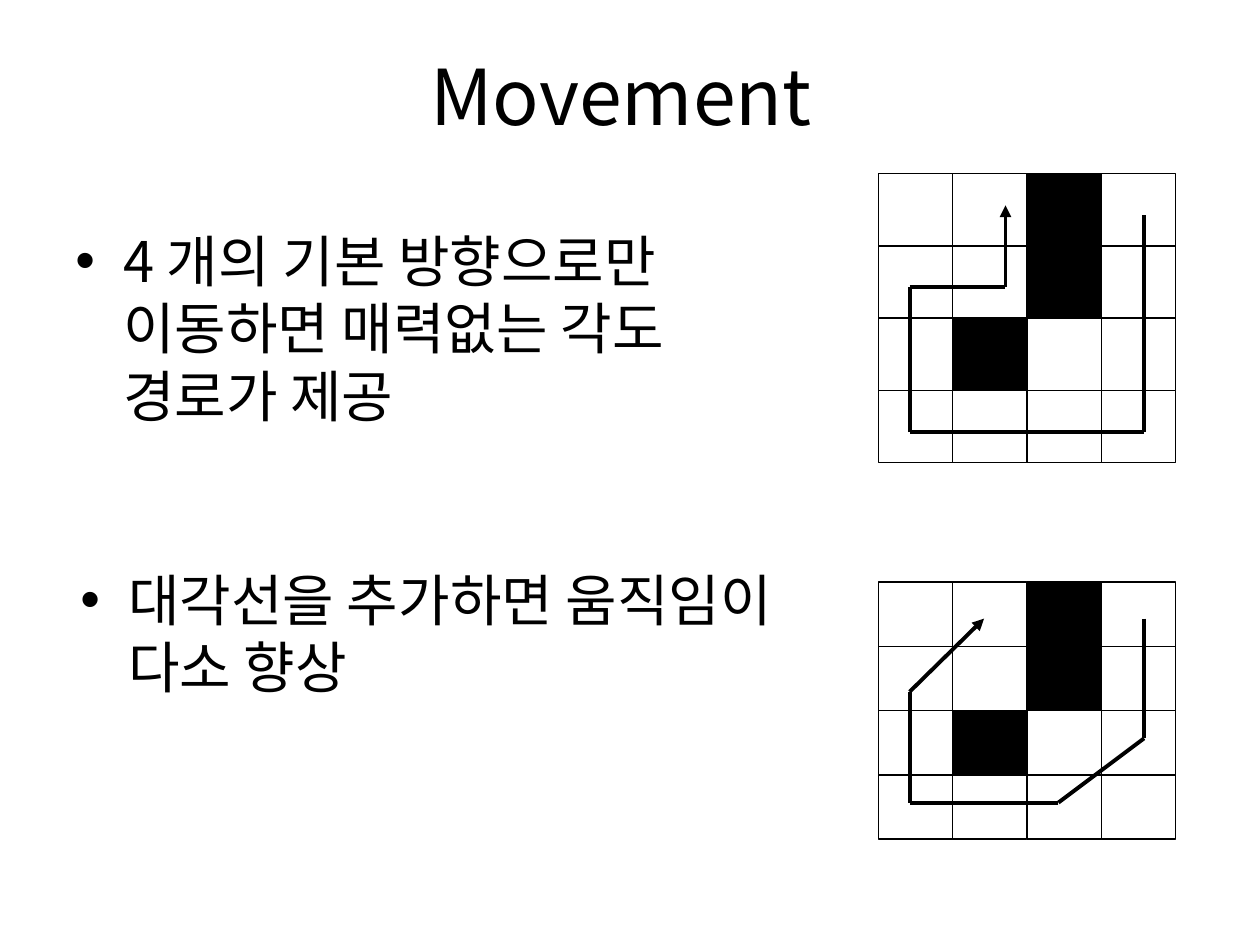
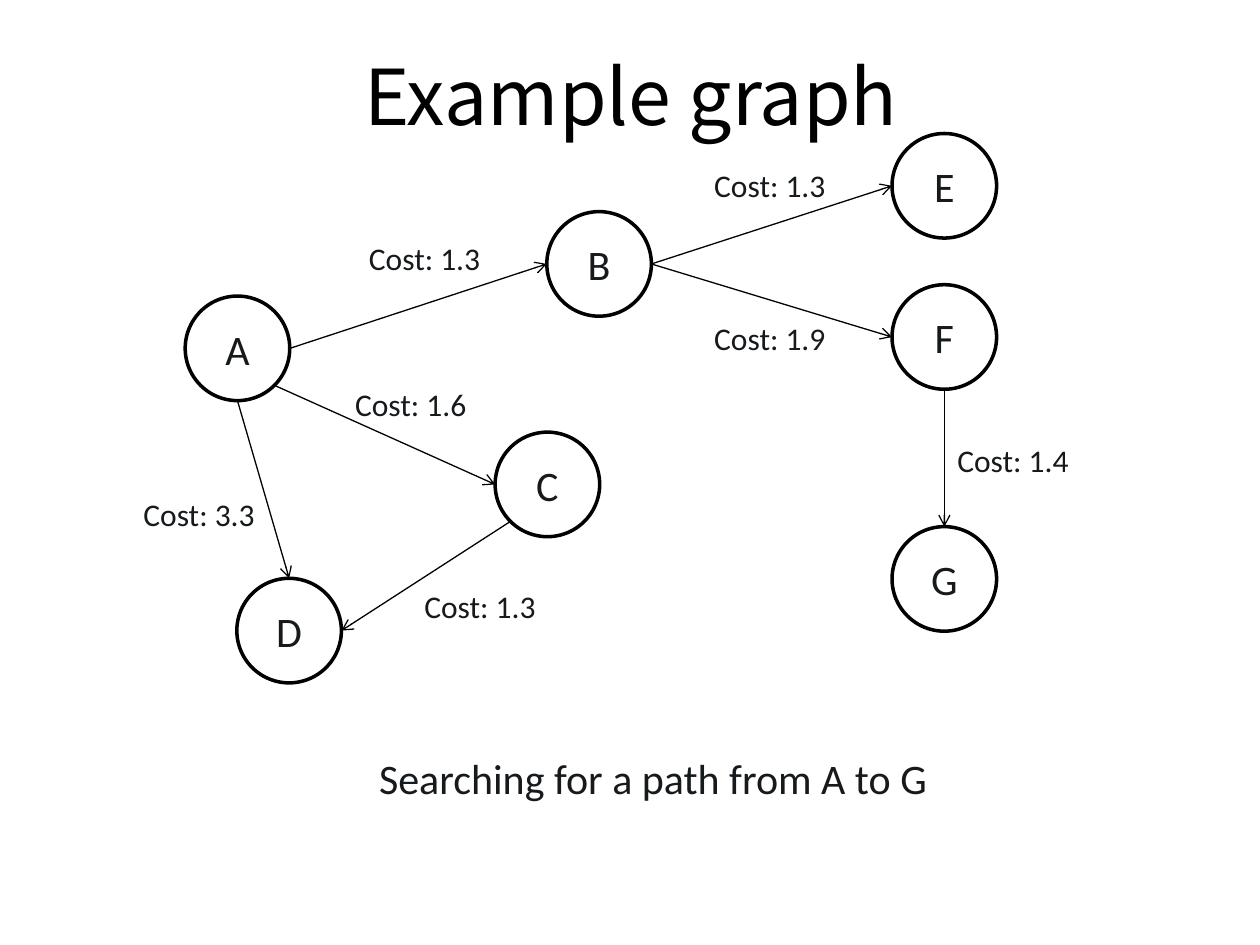
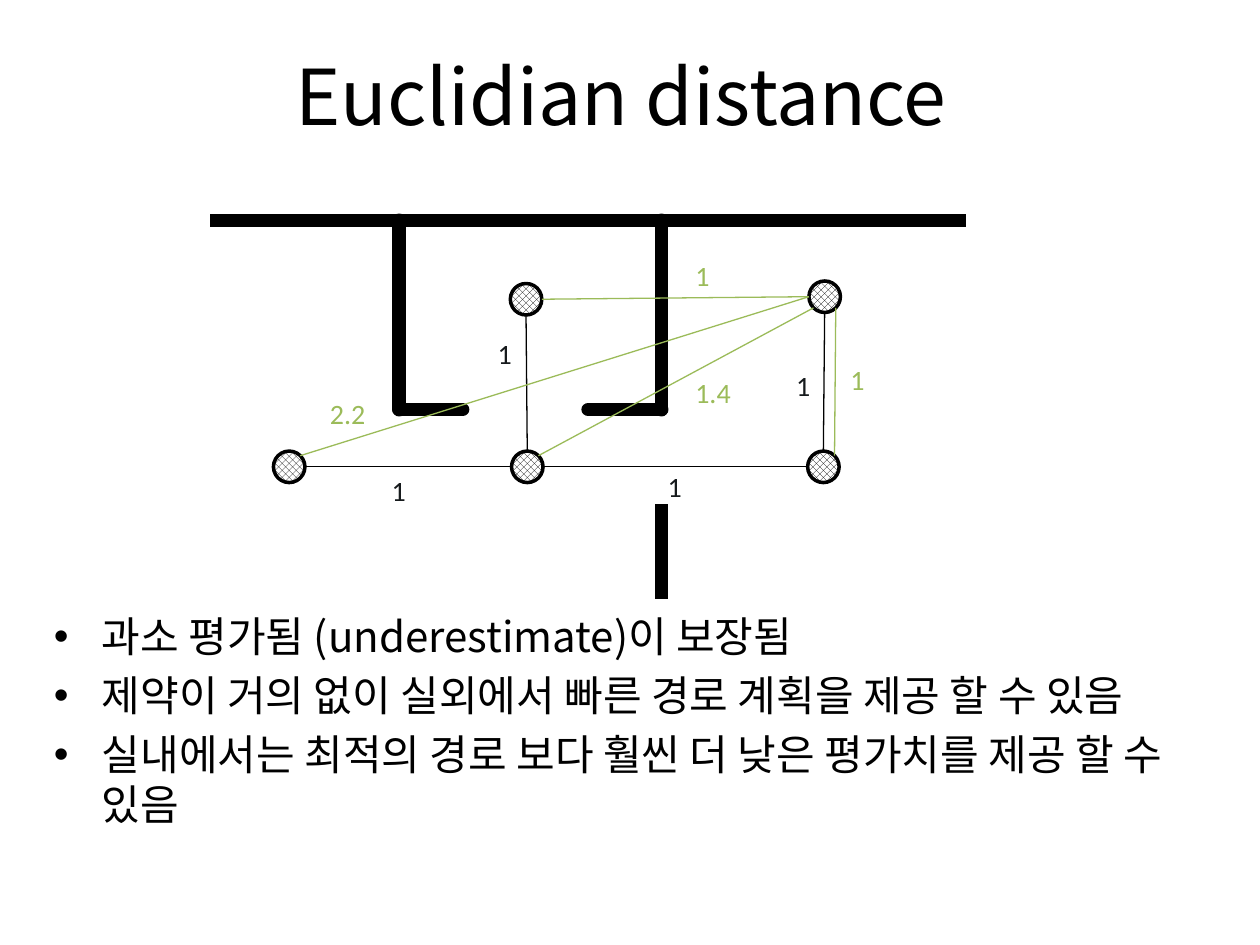
import pptx
import pptx.dml.color
import pptx.enum.dml
import pptx.enum.shapes
import pptx.enum.text
import pptx.oxml.ns
import pptx.util
from pptx.util import Inches
from lxml import etree

BLACK, WHITE, INK, GREEN = "000000", "FFFFFF", "161A1C", "9BBB59"
SANS, KOREAN = "Calibri", "Noto Sans CJK KR"
SHAPE = pptx.enum.shapes.MSO_SHAPE
ALIGN = pptx.enum.text.PP_ALIGN
MIDDLE = pptx.enum.text.MSO_ANCHOR.MIDDLE
RING = 0.83
DOT = 0.25
DIAG = 0.5 ** 0.5
SIDES = {"top": (0, -1), "left": (-1, 0), "low": (0, 1), "right": (1, 0),
         "low left": (-DIAG, DIAG), "low right": (DIAG, DIAG),
         "top right": (DIAG, -DIAG)}


def color(code):
    """Turn a hex string into a colour."""
    return pptx.dml.color.RGBColor.from_string(code)


def apply(target, values):
    """Set each named value on the target."""
    for name, value in values.items():
        setattr(target, name, value)


def add_tag(parent, tag, **values):
    """Append one drawing element with its attributes."""
    item = etree.SubElement(parent, pptx.oxml.ns.qn(tag))
    for name, value in values.items():
        item.set(name, str(value))
    return item


def write(par, text, size, face, code):
    """Add a run with its font to a paragraph."""
    run = par.add_run()
    run.text = text
    apply(run.font, {"size": pptx.util.Pt(size), "name": face})
    run.font.color.rgb = color(code)
    add_tag(run.font._element, "a:ea", typeface=face)


def add_title(deck, text, left=0.43):
    """Add a title-only slide and place its title."""
    slide = deck.slides.add_slide(deck.slide_layouts[5])
    title = slide.shapes.title
    apply(title, {"left": Inches(left), "top": Inches(0.13),
                  "width": Inches(9), "height": Inches(1.25)})
    title.text_frame.vertical_anchor = MIDDLE
    par = title.text_frame.paragraphs[0]
    par.alignment = ALIGN.CENTER
    write(par, text, 44, KOREAN, BLACK)
    return slide


def add_list(slide, box, size, lines):
    """Add a wrapped list with bullets."""
    frame = slide.shapes.add_textbox(*map(Inches, box)).text_frame
    frame.word_wrap = True
    for num, text in enumerate(lines):
        par = frame.add_paragraph() if num else frame.paragraphs[0]
        props = par._p.get_or_add_pPr()
        props.set("marL", str(Inches(0.38)))
        props.set("indent", str(-Inches(0.38)))
        add_tag(add_tag(props, "a:spcBef"), "a:spcPct", val=20000)
        add_tag(props, "a:buFont", typeface="Arial")
        add_tag(props, "a:buChar", char="•")
        write(par, text, size, KOREAN, BLACK)


def add_label(slide, box, text, size, code=INK):
    """Add a single line of text."""
    frame = slide.shapes.add_textbox(*map(Inches, box)).text_frame
    frame.word_wrap = False
    write(frame.paragraphs[0], text, size, SANS, code)


def add_form(shapes, kind, box, width, fill=None):
    """Add a preset shape with a black outline."""
    form = shapes.add_shape(kind, *map(Inches, box))
    form.shadow.inherit = False
    form.line.color.rgb = color(BLACK)
    form.line.width = pptx.util.Pt(width)
    if fill:
        form.fill.solid()
        form.fill.fore_color.rgb = color(fill)
    else:
        form.fill.background()
    return form


def add_line(shapes, start, end, width=0.75, code=BLACK, head=None, cap=None):
    """Add a straight line, with an arrowhead or cap if named."""
    kind = pptx.enum.shapes.MSO_CONNECTOR.STRAIGHT
    line = shapes.add_connector(kind, *map(Inches, (*start, *end)))
    line.line.color.rgb = color(code)
    line.line.width = pptx.util.Pt(width)
    props = line.line._get_or_add_ln()
    if cap:
        props.set("cap", cap)
    if head:
        add_tag(props, "a:tailEnd", type=head)
    add_tag(line._element.spPr, "a:effectLst")


def add_grid(slide, top, height, route, fill=None):
    """Add a four by four grid with walls and a route."""
    shapes = slide.shapes.add_group_shape().shapes
    wide, high = 0.59, height / 4
    walls = {(0, 2), (1, 2), (2, 1)}
    for row in range(4):
        for col in range(4):
            box = (6.97 + col * wide, top + row * high, wide, high)
            shade = BLACK if (row, col) in walls else fill
            add_form(shapes, SHAPE.RECTANGLE, box, 0.75, shade)
    for start, end in zip(route, route[1:]):
        head = "triangle" if end == route[-1] else None
        add_line(shapes, start, end, 2.25, head=head)


def edge(spot, size, side):
    """Find the point on a circle at the named side."""
    return [place + size / 2 * (1 + step)
            for place, step in zip(spot, SIDES[side])]


def add_ring(slide, spot, text):
    """Add a graph node with its letter."""
    ring = add_form(slide.shapes, SHAPE.OVAL, (*spot, RING, RING), 2)
    frame = ring.text_frame
    apply(frame, {"word_wrap": False, "vertical_anchor": MIDDLE})
    frame.paragraphs[0].alignment = ALIGN.CENTER
    write(frame.paragraphs[0], text, 24, SANS, INK)


def add_dot(slide, spot):
    """Add a small node with a diamond pattern."""
    dot = add_form(slide.shapes, SHAPE.OVAL, (*spot, DOT, DOT), 2)
    dot.fill.patterned()
    dot.fill.pattern = pptx.enum.dml.MSO_PATTERN.SOLID_DIAMOND
    dot.fill.fore_color.rgb = color(BLACK)
    dot.fill.back_color.rgb = color(WHITE)


def move_slide(deck):
    """Build the slide on grid movement."""
    slide = add_title(deck, "Movement")
    add_list(slide, (0.5, 1.75, 5.84, 1.21), 32,
             ["4 개의 기본 방향으로만 이동하면 매력없는 각도 경로가 제공"])
    add_grid(slide, 1.38, 2.29, [(9.08, 1.71), (9.08, 3.43), (7.22, 3.43),
                                 (7.22, 2.28), (7.98, 2.28), (7.98, 1.63)],
             WHITE)
    add_list(slide, (0.54, 4.44, 5.75, 0.66), 32,
             ["대각선을 추가하면 움직임이 다소 향상"])
    add_grid(slide, 4.62, 2.04, [(9.08, 4.91), (9.08, 5.86), (8.4, 6.37),
                                 (7.22, 6.37), (7.22, 5.49), (7.81, 4.91)])


def graph_slide(deck):
    """Build the slide with the example graph."""
    slide = add_title(deck, "Example graph", 0.51)
    rings = {"A": (1.47, 2.35), "B": (4.34, 1.68), "C": (3.93, 3.43),
             "D": (1.88, 4.59), "E": (7.08, 1.06), "F": (7.08, 2.26),
             "G": (7.08, 4.18)}
    for name, spot in rings.items():
        add_ring(slide, spot, name)
    links = [("A", "right", "B", "left", "1.3", (2.83, 1.85)),
             ("A", "low right", "C", "left", "1.6", (2.72, 3.01)),
             ("A", "low", "D", "top", "3.3", (1.04, 3.88)),
             ("B", "right", "E", "left", "1.3", (5.57, 1.27)),
             ("B", "right", "F", "left", "1.9", (5.57, 2.48)),
             ("C", "low left", "D", "right", "1.3", (3.27, 4.61)),
             ("F", "low", "G", "top", "1.4", (7.5, 3.45))]
    for start, out, end, into, cost, spot in links:
        add_line(slide.shapes, edge(rings[start], RING, out),
                 edge(rings[end], RING, into), head="arrow")
        add_label(slide, (*spot, 1.1, 0.4), f"Cost: {cost}", 18)
    add_label(slide, (2.91, 5.92, 4.61, 0.5),
              "Searching for a path from A to G", 24)


def range_slide(deck):
    """Build the slide on straight distance."""
    slide = add_title(deck, "Euclidian distance")
    add_list(slide, (0.33, 4.8, 9, 2.2), 24,
             ["과소 평가됨 (underestimate)이 보장됨",
              "제약이 거의 없이 실외에서 빠른 경로 계획을 제공 할 수 있음",
              "실내에서는 최적의 경로 보다 훨씬 더 낮은 평가치를 제공 할 수 있음"])
    walls = [((1.67, 1.75), (7.67, 1.75), None),
             ((3.17, 1.75), (3.17, 3.25), "rnd"),
             ((3.17, 3.25), (3.67, 3.25), "rnd"),
             ((5.25, 1.75), (5.25, 3.25), "rnd"),
             ((5.25, 3.25), (4.67, 3.25), "rnd"),
             ((5.25, 4), (5.25, 4.75), None)]
    for start, end, cap in walls:
        add_line(slide.shapes, start, end, 8, cap=cap)
    dots = {"room": (4.05, 2.25), "goal": (6.42, 2.23), "west": (2.17, 3.58),
            "mid": (4.06, 3.58), "east": (6.41, 3.58)}
    for spot in dots.values():
        add_dot(slide, spot)
    links = [("west", "right", "mid", "left", BLACK, "1", (3.01, 3.71)),
             ("mid", "top", "room", "low", BLACK, "1", (3.85, 2.62)),
             ("mid", "right", "east", "left", BLACK, "1", (5.2, 3.68)),
             ("east", "top", "goal", "low", BLACK, "1", (6.22, 2.88)),
             ("west", "top right", "goal", "left", GREEN, "2.2", (2.52, 3.1)),
             ("mid", "top right", "goal", "low left", GREEN, "1.4",
              (5.42, 2.93)),
             ("east", "top right", "goal", "low right", GREEN, "1",
              (6.65, 2.83)),
             ("room", "right", "goal", "left", GREEN, "1", (5.42, 2))]
    for start, out, end, into, code, text, spot in links:
        add_line(slide.shapes, edge(dots[start], DOT, out),
                 edge(dots[end], DOT, into), code=code)
        wide = 0.32 if text == "1" else 0.49
        add_label(slide, (*spot, wide, 0.37), text, 16,
                  INK if code == BLACK else code)


def main():
    """Build and save the deck."""
    deck = pptx.Presentation()
    apply(deck, {"slide_width": Inches(10), "slide_height": Inches(7.5)})
    move_slide(deck)
    graph_slide(deck)
    range_slide(deck)
    deck.save("out.pptx")


if __name__ == "__main__":
    main()
